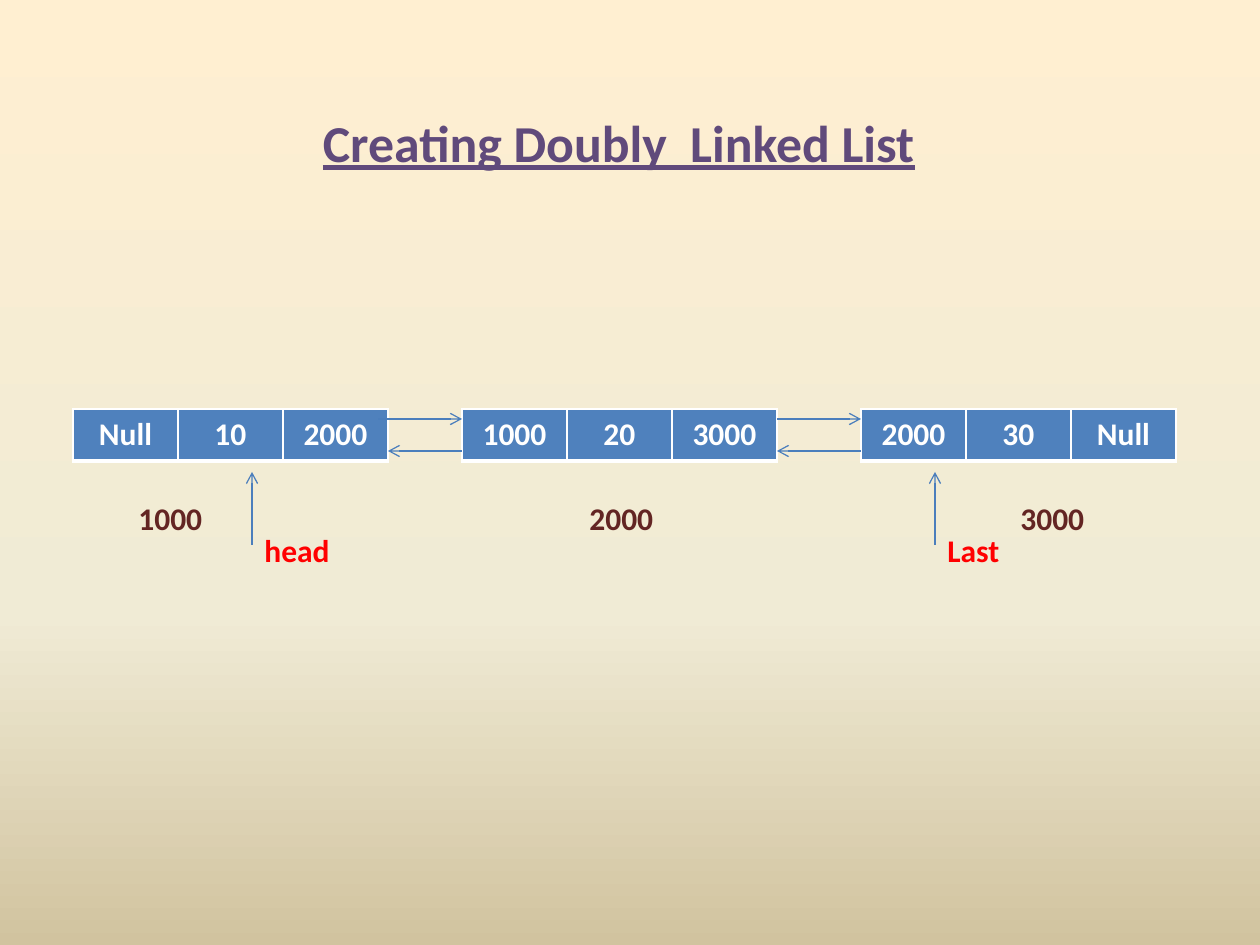
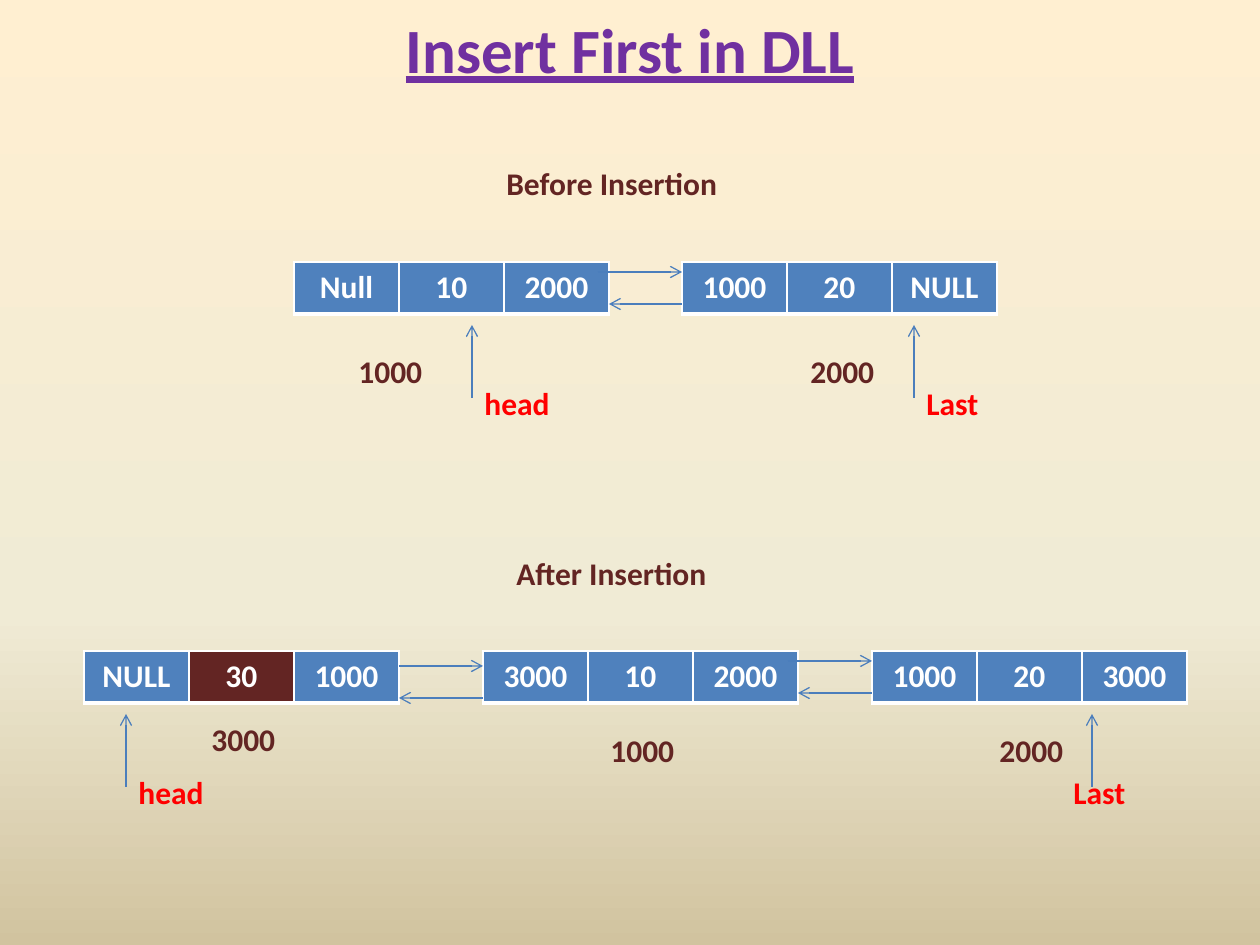
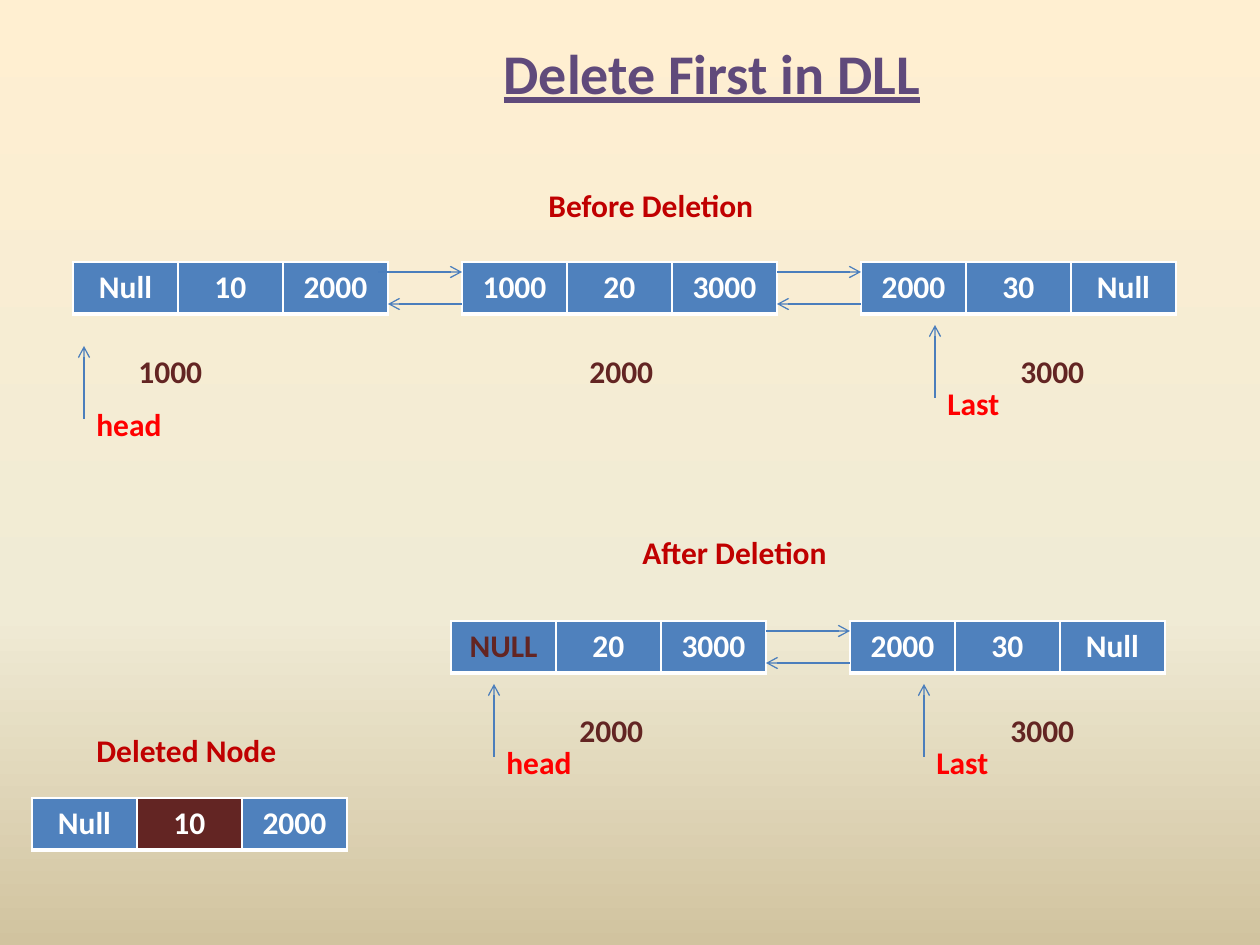
"""Build three slides on doubly linked lists."""
from copy import deepcopy

from lxml.etree import SubElement
from pptx import Presentation
from pptx.dml.color import RGBColor
from pptx.enum.shapes import MSO_CONNECTOR as Con
from pptx.enum.text import MSO_ANCHOR as Anchor, PP_ALIGN as Align
from pptx.oxml.ns import qn
from pptx.util import Pt

SCALE = 914400 / 126
FONT = "Calibri"
COL, ROW = 105, 52
LINK = 84
WHITE = RGBColor(0xFF, 0xFF, 0xFF)
BLUE = RGBColor(0x4F, 0x81, 0xBD)
LINE = RGBColor(0x4B, 0x7E, 0xBC)
DARK = RGBColor(0x63, 0x25, 0x23)
RED = RGBColor(0xFF, 0x00, 0x00)
BRICK = RGBColor(0xC0, 0x00, 0x00)
PLUM = RGBColor(0x60, 0x4A, 0x7B)
VIOLET = RGBColor(0x70, 0x30, 0xA0)
SKY = (
    (0, RGBColor(0xFF, 0xEF, 0xD1)),
    (0.65, RGBColor(0xF0, 0xEB, 0xD5)),
    (1, RGBColor(0xD1, 0xC3, 0x9F)),
)


def px(*sizes):
    return [round(size * SCALE) for size in sizes]


def backdrop(master):
    fill = master.background.fill
    fill.gradient()
    fill.gradient_angle = 270
    stops = master.element.find(".//" + qn("a:gsLst"))
    stops.append(deepcopy(stops[-1]))
    for stop, (place, color) in zip(fill.gradient_stops, SKY):
        stop.position = place
        stop.color.rgb = color


def style(para, color, size=18):
    for run in para.runs:
        font = run.font
        font.name, font.size, font.bold = FONT, Pt(size), True
        font.color.rgb = color


def label(slide, text, x, y, color=DARK, width=COL, height=50, size=18):
    frame = slide.shapes.add_textbox(*px(x, y, width, height)).text_frame
    frame.word_wrap = True
    frame.text = text
    style(frame.paragraphs[0], color, size)
    return frame


def title(slide, text, mid, y, color, size):
    frame = label(slide, text, mid - 450, y, color, 900, 96, size)
    frame.vertical_anchor = Anchor.MIDDLE
    para = frame.paragraphs[0]
    para.alignment = Align.CENTER
    para.runs[0].font.underline = True


def arrow(slide, x1, y1, x2, y2):
    line = slide.shapes.add_connector(Con.STRAIGHT, *px(x1, y1, x2, y2))
    line.line.color.rgb = LINE
    line.line.width = Pt(0.75)
    props = line.element.spPr
    SubElement(props.find(qn("a:ln")), qn("a:tailEnd"), type="arrow")
    SubElement(props, qn("a:effectLst"))


def border(cell):
    props = cell._tc.get_or_add_tcPr()
    sides = (("L", 1), ("R", 1), ("T", 1), ("B", 3))
    for index, (side, width) in enumerate(sides):
        edge = SubElement(props, qn("a:ln" + side), w=str(Pt(width)))
        fill = SubElement(edge, qn("a:solidFill"))
        SubElement(fill, qn("a:srgbClr"), val=str(WHITE))
        props.insert(index, edge)


def shade(cell, color):
    cell.fill.solid()
    cell.fill.fore_color.rgb = color


def node(slide, x, y, words):
    words = words.split()
    size = px(x, y, COL * len(words), ROW)
    table = slide.shapes.add_table(1, len(words), *size).table
    table.first_row = table.horz_banding = False
    for cell, word in zip(table.rows[0].cells, words):
        cell.text = word
        para = cell.text_frame.paragraphs[0]
        para.alignment = Align.CENTER
        style(para, WHITE)
        shade(cell, BLUE)
        border(cell)
    return table


def chain(slide, y, nodes, drops=(10, 10)):
    tables = [node(slide, x, y, words) for x, words in nodes]
    for (prev, _), (x, _), drop in zip(nodes, nodes[1:], drops):
        arrow(slide, x - LINK, y + drop, x, y + drop)
        arrow(slide, x, y + drop + 32, prev + 3 * COL, y + drop + 32)
    return tables


def marks(slide, y, places):
    for text, x in places:
        label(slide, text, x, y)


def pointer(slide, text, x, y, shift=0):
    arrow(slide, x, y + 73, x, y)
    label(slide, text, x + shift, y + 53, RED)


def trio(slide, y):
    chain(slide, y, [(73, "Null 10 2000"), (462, "1000 20 3000"),
                     (861, "2000 30 Null")])
    marks(slide, y + 84, [("1000", 126), ("2000", 577), ("3000", 1008)])
    pointer(slide, "Last", 935, y + 63)


def create(slide):
    title(slide, "Creating Doubly  Linked List", 619, 94, PLUM, 29.6)
    trio(slide, 409)
    pointer(slide, "head", 252, 472)


def insert(slide):
    title(slide, "Insert First in DLL", 630, 0, VIOLET, 36)
    label(slide, "Before Insertion", 494, 158, width=273)
    chain(slide, 262, [(294, "Null 10 2000"), (682, "1000 20 NULL")])
    marks(slide, 346, [("1000", 346), ("2000", 798)])
    pointer(slide, "head", 472, 325)
    pointer(slide, "Last", 914, 325)

    label(slide, "After Insertion", 504, 548, width=273)
    tables = chain(slide, 651, [(84, "NULL 30 1000"), (483, "3000 10 2000"),
                                (872, "1000 20 3000")], (15, 10))
    shade(tables[0].cell(0, 1), DARK)
    marks(slide, 714, [("3000", 199)])
    marks(slide, 725, [("1000", 598), ("2000", 987)])
    pointer(slide, "head", 126, 714)
    pointer(slide, "Last", 1092, 714, -31)


def delete(slide):
    title(slide, "Delete First in DLL", 712, 24, PLUM, 32)
    label(slide, "Before Deletion", 536, 180, BRICK, 294)
    trio(slide, 262)
    pointer(slide, "head", 84, 346)

    label(slide, "After Deletion", 630, 527, BRICK, 294)
    tables = chain(slide, 621, [(451, "NULL 20 3000"), (850, "2000 30 Null")])
    style(tables[0].cell(0, 0).text_frame.paragraphs[0], DARK)
    marks(slide, 705, [("2000", 567), ("3000", 998)])
    pointer(slide, "head", 494, 684)
    pointer(slide, "Last", 924, 684)

    label(slide, "Deleted Node", 84, 725, BRICK, 294)
    shade(node(slide, 32, 798, "Null 10 2000").cell(0, 1), DARK)


def main():
    prs = Presentation()
    prs.slide_width, prs.slide_height = px(1260, 945)
    backdrop(prs.slide_master)
    for draw in (create, insert, delete):
        draw(prs.slides.add_slide(prs.slide_layouts[6]))
    prs.save("out.pptx")


if __name__ == "__main__":
    main()
